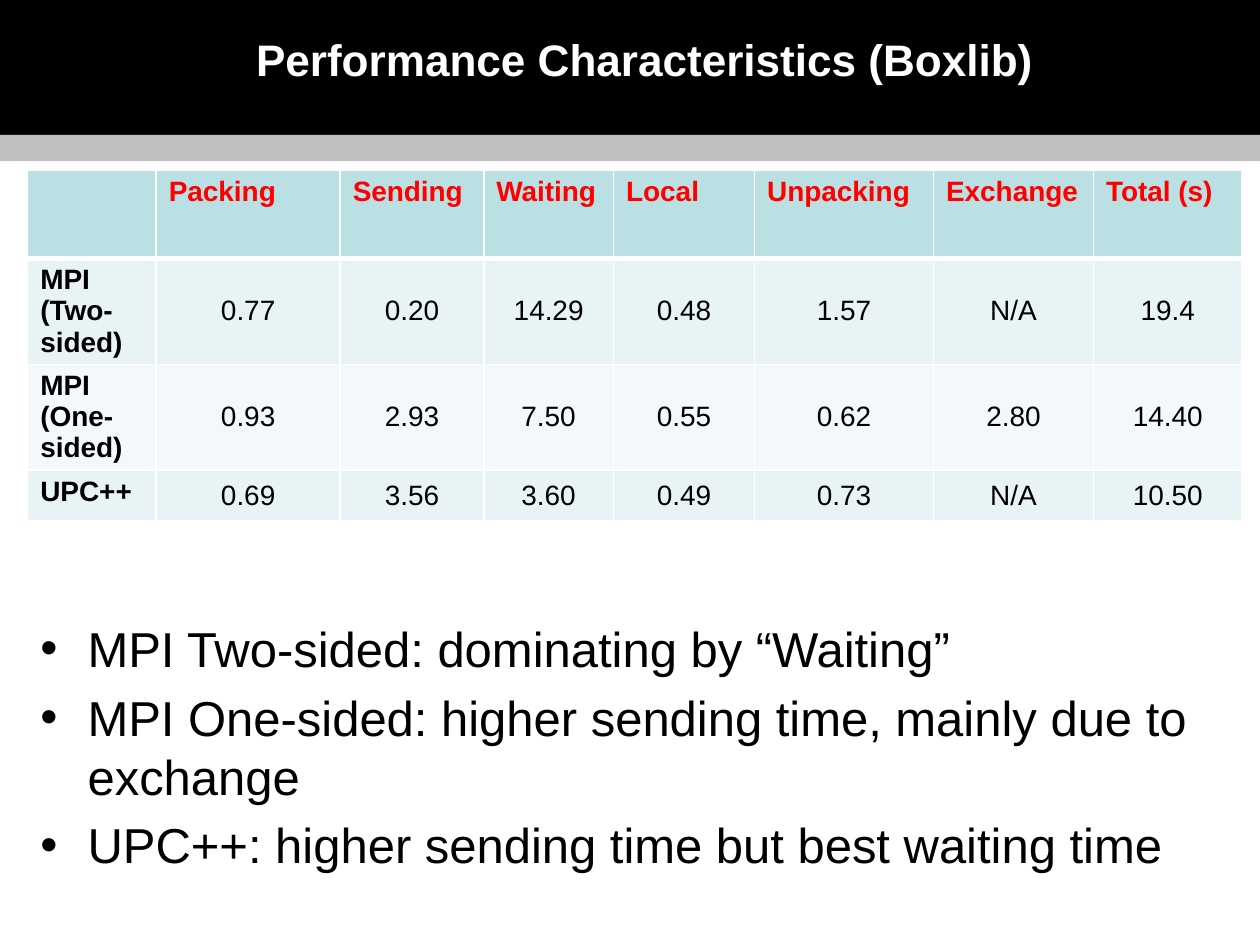
import pptx
import pptx.util
import pptx.dml.color
import pptx.enum.shapes
import pptx.enum.text
import pptx.oxml
import pptx.oxml.ns

Inches, Pt = pptx.util.Inches, pptx.util.Pt
ALIGN, ANCHOR = pptx.enum.text.PP_ALIGN, pptx.enum.text.MSO_ANCHOR

COLORS = {
    "black": "000000", "white": "FFFFFF", "gray": "C0C0C0", "red": "FF0000",
    "header": "BBE0E3", "odd_row": "E7F3F4", "even_row": "F3F9FA",
}
COLUMN_WIDTHS = [1.02, 1.46, 1.14, 1.03, 1.12, 1.42, 1.27, 1.18]
ROW_HEIGHTS = [0.7, 0.84, 0.84, 0.4]
TIMINGS = [
    ["", "Packing", "Sending", "Waiting", "Local", "Unpacking", "Exchange", "Total (s)"],
    ["MPI\n(Two-sided)", "0.77", "0.20", "14.29", "0.48", "1.57", "N/A", "19.4"],
    ["MPI\n(One-sided)", "0.93", "2.93", "7.50", "0.55", "0.62", "2.80", "14.40"],
    ["UPC++", "0.69", "3.56", "3.60", "0.49", "0.73", "N/A", "10.50"],
]
FINDINGS = [
    "MPI Two-sided: dominating by “Waiting”",
    "MPI One-sided: higher sending time, mainly due to exchange",
    "UPC++: higher sending time but best waiting time",
]


def rgb(name):
    return pptx.dml.color.RGBColor.from_string(COLORS[name])


class SlideBuilder:
    font = "Arial"

    def __init__(self, s):
        self.s = s

    def style(self, tf, size, color, bold=False, align=None):
        for p in tf.paragraphs:
            if align is not None:
                p.alignment = align
            for r in p.runs:
                r.font.name, r.font.size, r.font.bold = self.font, Pt(size), bold
                r.font.color.rgb = rgb(color)

    def place(self, sp, left, top, width, height):
        sp.left, sp.top = Inches(left), Inches(top)
        sp.width, sp.height = Inches(width), Inches(height)

    def band(self, top, height, color, layer):
        """Add a full-width bar behind the placeholders."""
        sp = self.s.shapes.add_shape(
            pptx.enum.shapes.MSO_SHAPE.RECTANGLE,
            0, Inches(top), Inches(10), Inches(height))
        sp.shadow.inherit = False
        sp.fill.solid()
        sp.fill.fore_color.rgb = rgb(color)
        sp.line.fill.background()
        self.s.shapes._spTree.insert(2 + layer, sp._element)

    def title(self, text, *box):
        sp = self.s.shapes.title
        self.place(sp, *box)
        tf = sp.text_frame
        tf.text = text
        tf.auto_size = pptx.enum.text.MSO_AUTO_SIZE.NONE
        tf.vertical_anchor = ANCHOR.MIDDLE
        self.style(tf, 25.2, "white", bold=True, align=ALIGN.CENTER)

    def bullets(self, items, *box):
        sp = self.s.placeholders[1]
        self.place(sp, *box)
        tf = sp.text_frame
        tf.text = "\n".join(items)
        tf.auto_size = pptx.enum.text.MSO_AUTO_SIZE.NONE
        self.style(tf, 28, "black")

    def borders(self, cell, top, bottom):
        """Draw white cell borders; top and bottom are widths in points."""
        tcPr = cell._tc.get_or_add_tcPr()
        for side, width in (("L", 1), ("R", 1), ("T", top), ("B", bottom)):
            tcPr.append(pptx.oxml.parse_xml(
                f'<a:ln{side} {pptx.oxml.ns.nsdecls("a")} w="{Pt(width)}">'
                f'<a:solidFill><a:srgbClr val="{COLORS["white"]}"/></a:solidFill>'
                f'</a:ln{side}>'))

    def cell(self, cell, text, row, col):
        cell.text = text
        self.borders(cell, top=3 if row == 1 else 1, bottom=3 if row == 0 else 1)
        cell.fill.solid()
        if row == 0:
            fill = "header"
        else:
            fill = "odd_row" if row % 2 else "even_row"
        cell.fill.fore_color.rgb = rgb(fill)
        is_value = row > 0 and col > 0
        if is_value:
            cell.vertical_anchor = ANCHOR.MIDDLE
        self.style(cell.text_frame, 16, "black" if row else "red",
                   bold=not is_value, align=ALIGN.CENTER if is_value else None)

    def table(self, rows, left, top):
        table = self.s.shapes.add_table(
            len(rows), len(rows[0]), Inches(left), Inches(top),
            Inches(sum(COLUMN_WIDTHS)), Inches(sum(ROW_HEIGHTS))).table
        for column, width in zip(table.columns, COLUMN_WIDTHS):
            column.width = Inches(width)
        for row, height in zip(table.rows, ROW_HEIGHTS):
            row.height = Inches(height)
        for i, values in enumerate(rows):
            for j, text in enumerate(values):
                self.cell(table.cell(i, j), text, i, j)


def main():
    prs = pptx.Presentation()
    prs.slide_width, prs.slide_height = Inches(10), Inches(7.5)
    slide = SlideBuilder(prs.slides.add_slide(prs.slide_layouts[1]))
    slide.band(0, 1.17, "black", layer=0)
    slide.band(1.07, 0.21, "gray", layer=1)
    slide.title("Performance Characteristics (Boxlib)", 1.85, 0, 6.53, 0.94)
    slide.table(TIMINGS, 0.22, 1.35)
    slide.bullets(FINDINGS, 0.22, 4.86, 9.64, 2.32)
    prs.save("out.pptx")


if __name__ == "__main__":
    main()
